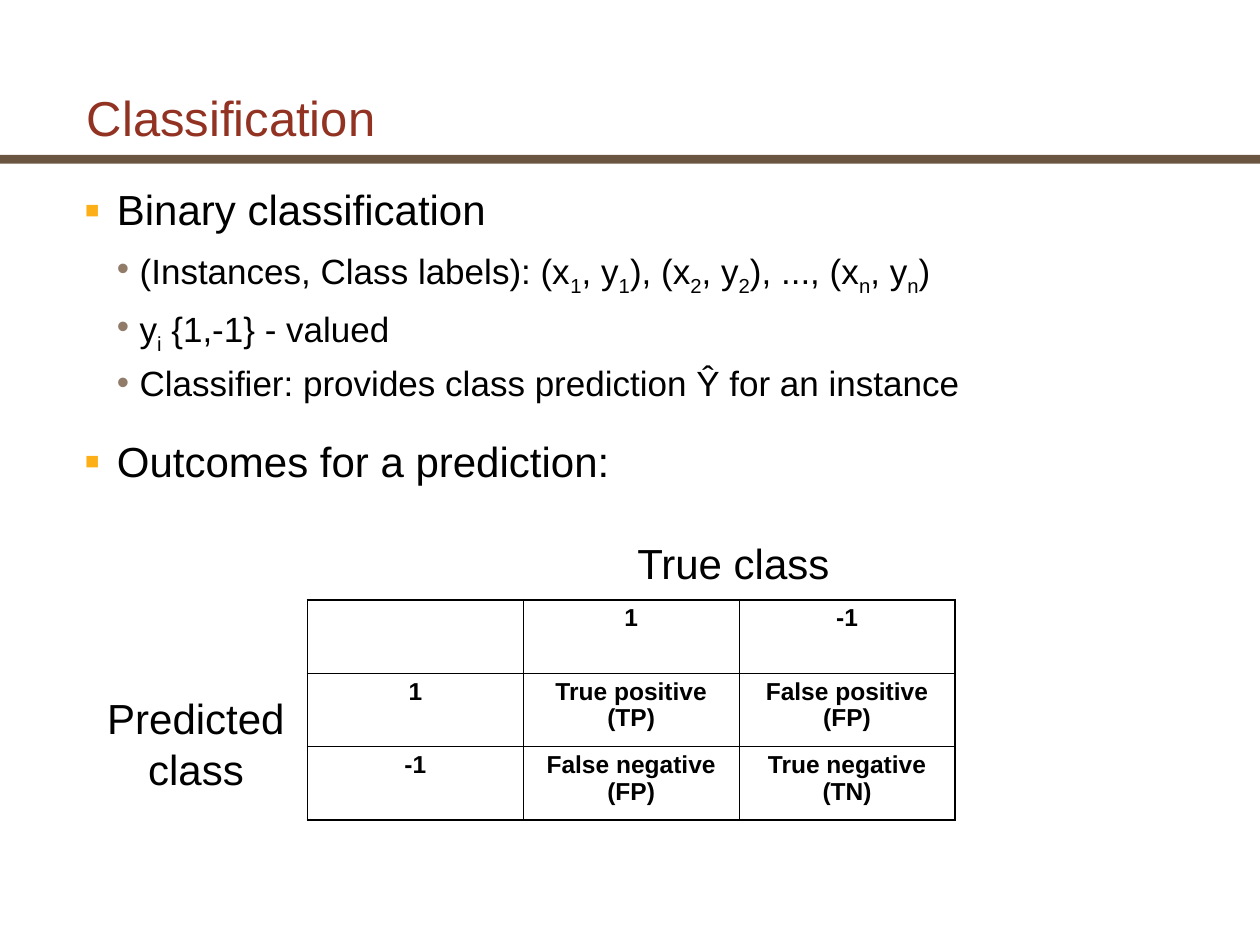
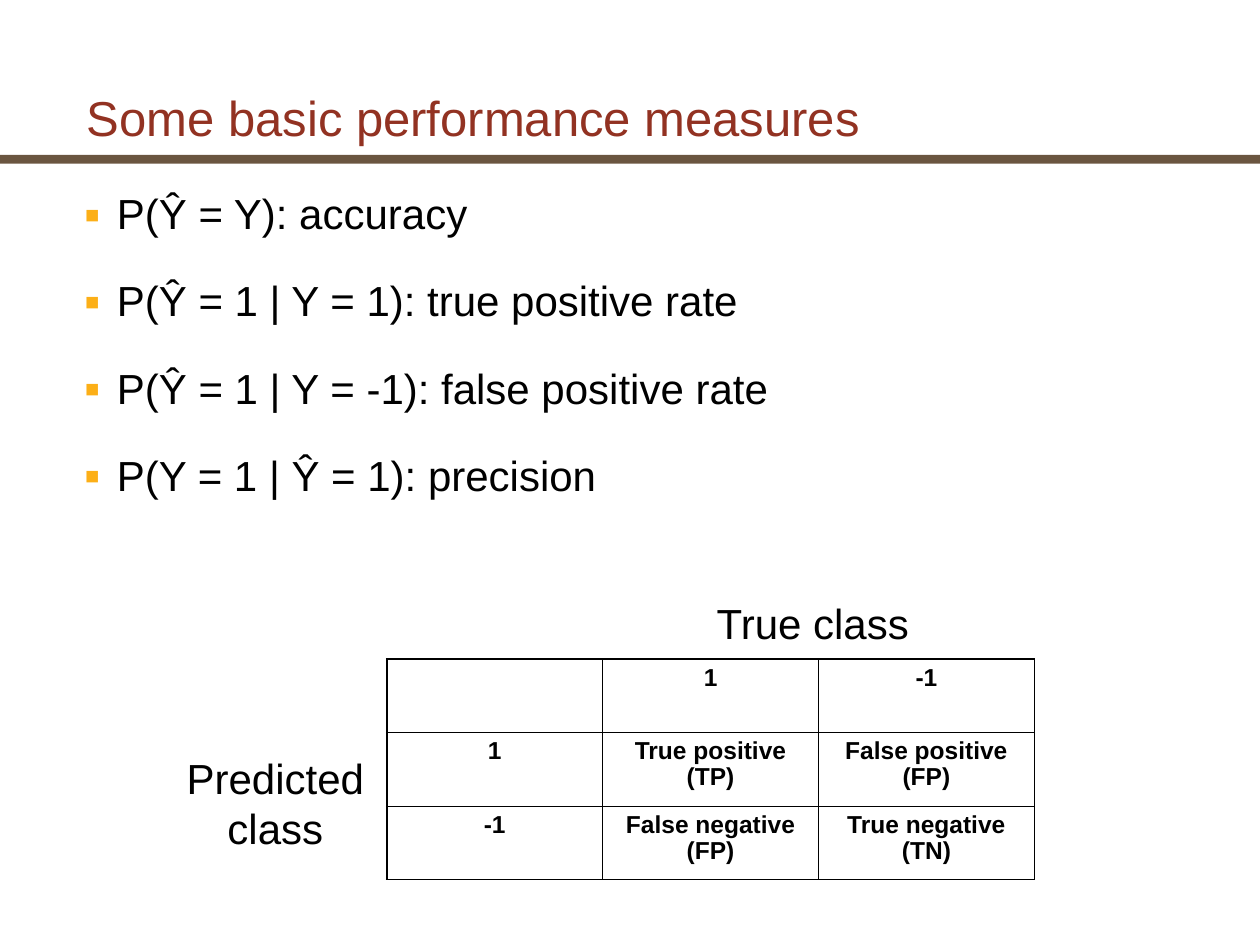
from lxml.etree import SubElement
from pptx import Presentation
from pptx.dml.color import RGBColor
from pptx.enum.shapes import MSO_SHAPE as Shape
from pptx.enum.text import MSO_ANCHOR as Anchor, MSO_AUTO_SIZE as AutoSize, PP_ALIGN as Align
from pptx.oxml.ns import qn
from pptx.util import Inches, Pt

BLACK = RGBColor(0x00, 0x00, 0x00)
TITLE_RED = RGBColor(0x92, 0x32, 0x22)
BAND_BROWN = RGBColor(0x6A, 0x55, 0x40)
BULLET_GOLD = RGBColor(0xFC, 0xAF, 0x17)
BULLET_TAUPE = RGBColor(0x91, 0x7B, 0x69)
FONT = "Arial"

TITLE_ONLY = 5
OUTER_LINE, INNER_LINE = Pt(1.08), Pt(0.45)

# level: left margin, hanging indent, bullet, bullet colour, bullet percent, text size, space before
LEVELS = [
    (0.26, 0.26, "▪", BULLET_GOLD, 110, 24, 22.5),
    (0.44, 0.18, "•", BULLET_TAUPE, 100, 20, 10),
]

CONFUSION_MATRIX = [
    ["", "1", "-1"],
    ["1", "True positive (TP)", "False positive\n(FP)"],
    ["-1", "False negative\n(FP)", "True negative\n(TN)"],
]


class LectureDeck:
    def __init__(self):
        self.deck = Presentation()
        self.deck.slide_width, self.deck.slide_height = Inches(10), Inches(7.5)
        self.page = None

    def format(self, para, size, color=BLACK, bold=False):
        for span in para.runs:
            font = span.font
            font.name, font.size, font.bold = FONT, Pt(size), bold
            font.color.rgb = color
        for line_break in para._p.findall(qn("a:br")):
            SubElement(line_break, qn("a:rPr"), sz=str(size * 100))

    def add_page(self, title):
        self.page = self.deck.slides.add_slide(self.deck.slide_layouts[TITLE_ONLY])
        band = self.page.shapes.add_shape(
            Shape.RECTANGLE, 0, Inches(1.23), self.deck.slide_width, Inches(0.07))
        band.shadow.inherit = False
        band.fill.solid()
        band.fill.fore_color.rgb = BAND_BROWN
        band.line.fill.background()

        box = self.page.shapes.title
        box.left, box.top = Inches(0.59), Inches(0.67)
        box.width, box.height = Inches(9.07), Inches(0.55)
        frame = box.text_frame
        frame.text = title
        frame.auto_size = AutoSize.NONE
        frame.vertical_anchor = Anchor.BOTTOM
        para = frame.paragraphs[0]
        para.alignment, para.line_spacing = Align.LEFT, 0.95
        self.format(para, 28, TITLE_RED)

    def add_bullets(self, items, height, line_spacing):
        """Items are (level, text); an underscore lowers the character after it."""
        box = self.page.shapes.add_textbox(
            Inches(0.57), Inches(1.47), Inches(9.27), Inches(height))
        frame = box.text_frame
        frame.word_wrap = True
        for index, (level, text) in enumerate(items):
            para = frame.add_paragraph() if index else frame.paragraphs[0]
            margin, hanging, bullet, color, percent, size, before = LEVELS[level]
            para.level = level
            self.set_bullet(para, margin, hanging, bullet, color, percent)
            para.line_spacing = line_spacing
            para.space_before = Pt(before if index else 0)
            self.add_spans(para, text)
            self.format(para, size)

    def set_bullet(self, para, margin, hanging, bullet, color, percent):
        props = para._p.get_or_add_pPr()
        props.set("marL", str(Inches(margin)))
        props.set("indent", str(-Inches(hanging)))
        SubElement(SubElement(props, qn("a:buClr")), qn("a:srgbClr"), val=str(color))
        SubElement(props, qn("a:buSzPct"), val=str(percent * 1000))
        SubElement(props, qn("a:buFont"), typeface=FONT)
        SubElement(props, qn("a:buChar"), char=bullet)

    def add_spans(self, para, text):
        start, *lowered = text.split("_")
        para.text = start
        for piece in lowered:
            subscript = para.add_run()
            subscript.text = piece[0]
            subscript.font._element.set("baseline", "-25000")
            if piece[1:]:
                para.add_run().text = piece[1:]

    def add_label(self, text, left, top, width, height, align):
        box = self.page.shapes.add_textbox(
            Inches(left), Inches(top), Inches(width), Inches(height))
        box.text_frame.word_wrap = False
        para = box.text_frame.paragraphs[0]
        para.text = text
        para.alignment = align
        self.format(para, 24)

    def add_confusion_matrix(self, left, top):
        """Place the table at left, top, with its two axis labels around it."""
        count = len(CONFUSION_MATRIX)
        table = self.page.shapes.add_table(
            count, count, Inches(left), Inches(top), Inches(5.14), Inches(1.75)).table
        table.first_row = table.horz_banding = False
        for row, texts in enumerate(CONFUSION_MATRIX):
            for column, text in enumerate(texts):
                cell = table.cell(row, column)
                self.set_borders(cell, L=column == 0, R=column == count - 1,
                                 T=row == 0, B=row == count - 1)
                cell.fill.background()
                para = cell.text_frame.paragraphs[0]
                para.text = text
                para.alignment, para.line_spacing = Align.CENTER, 0.95
                self.format(para, 14, bold=True)
        self.add_label("True class", left + 2.52, top - 0.54, 1.74, 0.5, Align.LEFT)
        self.add_label("Predicted\nclass", left - 1.69, top + 0.69, 1.61, 0.9, Align.CENTER)

    def set_borders(self, cell, **outer_sides):
        props = cell._tc.get_or_add_tcPr()
        for side, is_outer in outer_sides.items():
            width = OUTER_LINE if is_outer else INNER_LINE
            line = SubElement(props, qn("a:ln" + side), w=str(width))
            fill = SubElement(line, qn("a:solidFill"))
            SubElement(fill, qn("a:srgbClr"), val=str(BLACK))


def main():
    lecture = LectureDeck()

    lecture.add_page("Classification")
    lecture.add_bullets([
        (0, "Binary classification"),
        (1, "(Instances, Class labels): (x_1, y_1), (x_2, y_2), ..., (x_n, y_n)"),
        (1, "y_i {1,-1} - valued"),
        (1, "Classifier: provides class prediction Ŷ for an instance"),
        (0, "Outcomes for a prediction:"),
    ], height=2.63, line_spacing=0.85)
    lecture.add_confusion_matrix(2.44, 4.76)

    lecture.add_page("Some basic performance measures")
    lecture.add_bullets([
        (0, "P(Ŷ = Y): accuracy"),
        (0, "P(Ŷ = 1 | Y = 1): true positive rate"),
        (0, "P(Ŷ = 1 | Y = -1): false positive rate"),
        (0, "P(Y = 1 | Ŷ = 1): precision"),
    ], height=3.25, line_spacing=0.95)
    lecture.add_confusion_matrix(3.07, 5.23)

    lecture.deck.save("out.pptx")


if __name__ == "__main__":
    main()
